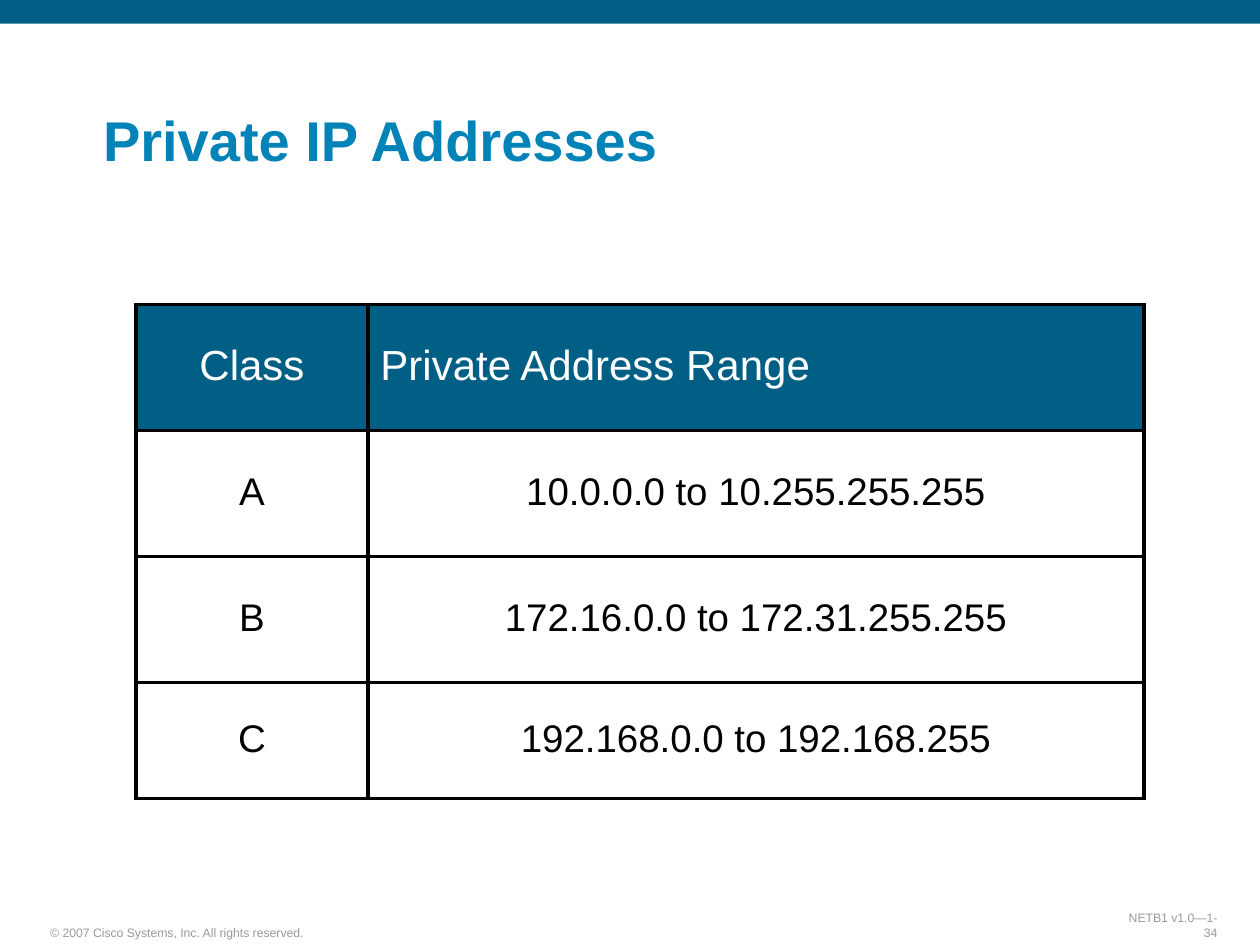
from lxml import etree
from pptx import Presentation, util as u
from pptx.dml import color
from pptx.enum import shapes, text
from pptx.oxml import ns

WIDTH, HEIGHT = u.Inches(10), u.Inches(7.5)
BLUE, TITLE_BLUE, GREY, BLACK, WHITE = "015F85", "0183B7", "999999", "000000", "FFFFFF"
LEFT, CENTER, RIGHT = text.PP_ALIGN.LEFT, text.PP_ALIGN.CENTER, text.PP_ALIGN.RIGHT
MIDDLE, BOTTOM = text.MSO_ANCHOR.MIDDLE, text.MSO_ANCHOR.BOTTOM
MARGINS = {"margin_left": u.Inches(0.1), "margin_right": u.Inches(0.1),
           "margin_top": u.Inches(0.05), "margin_bottom": u.Inches(0.05)}
ROWS = [("Class", "Private Address Range"),
        ("A", "10.0.0.0 to 10.255.255.255"),
        ("B", "172.16.0.0 to 172.31.255.255"),
        ("C", "192.168.0.0 to 192.168.255")]


def rgb(value):
    """Return the colour for a hex string."""
    return color.RGBColor.from_string(value)


def box(left, top, width, height):
    """Turn shares of the slide's size into lengths."""
    return [round(share * size) for share, size in
            zip((left, top, width, height), (WIDTH, HEIGHT, WIDTH, HEIGHT))]


def apply(target, values):
    """Set each attribute of the target from a dict."""
    for name, value in values.items():
        setattr(target, name, value)


def write(frame, words, size, hue, align=LEFT, spacing=1.0, bold=False):
    """Put one formatted paragraph in a text frame."""
    paragraph = frame.paragraphs[0]
    paragraph.text = words
    apply(paragraph, {"alignment": align, "line_spacing": spacing})
    font = paragraph.runs[0].font
    apply(font, {"name": "Arial", "size": u.Pt(size), "bold": bold})
    font.color.rgb = rgb(hue)


def add_band(slide, area):
    """Draw the plain band along the top."""
    shape = slide.shapes.add_shape(shapes.MSO_SHAPE.RECTANGLE, *area)
    shape.shadow.inherit = False
    shape.fill.solid()
    shape.fill.fore_color.rgb = rgb(BLUE)
    shape.line.fill.background()


def add_label(slide, area, words, wrap=True, **style):
    """Place a line of text at the bottom of the area."""
    frame = slide.shapes.add_textbox(*area).text_frame
    apply(frame, {**MARGINS, "word_wrap": wrap, "vertical_anchor": BOTTOM})
    write(frame, words, **style)


def add_borders(cell, width, hue):
    """Rule all four sides of a table cell."""
    properties = cell._tc.get_or_add_tcPr()
    for side in ("a:lnL", "a:lnR", "a:lnT", "a:lnB"):
        line = etree.SubElement(properties, ns.qn(side), w=str(u.Pt(width)))
        fill = etree.SubElement(line, ns.qn("a:solidFill"))
        etree.SubElement(fill, ns.qn("a:srgbClr"), val=hue)


def add_address_table(slide, area, column_shares, row_shares):
    """Fill the area with the ruled table of address ranges."""
    table = slide.shapes.add_table(len(ROWS), len(ROWS[0]), *area).table
    for column, share in zip(table.columns, column_shares):
        column.width = round(area[2] * share)
    for row, share in zip(table.rows, row_shares):
        row.height = round(area[3] * share)
    for row_index, row in enumerate(ROWS):
        header = row_index == 0
        for column_index, words in enumerate(row):
            cell = table.cell(row_index, column_index)
            apply(cell, {**MARGINS, "vertical_anchor": MIDDLE})
            add_borders(cell, 2.25, BLACK)
            cell.fill.solid()
            cell.fill.fore_color.rgb = rgb(BLUE if header else WHITE)
            write(cell.text_frame, words, size=24 if header else 22,
                  hue=WHITE if header else BLACK, spacing=0.95,
                  align=LEFT if header and column_index else CENTER)


def build_slide(presentation):
    """Lay out the band, footer, title and table."""
    slide = presentation.slides.add_slide(presentation.slide_layouts[6])
    footer = {"size": 7, "hue": GREY, "wrap": False}
    add_band(slide, box(0, 0, 1, 0.025))
    add_label(slide, box(0.03, 0.973, 0.221, 0.028),
              "© 2007 Cisco Systems, Inc. All rights reserved.", **footer)
    add_label(slide, box(0.877, 0.973, 0.099, 0.028),
              "NETB1 v1.0—1-34", align=RIGHT, **footer)
    add_label(slide, box(0.072, 0.067, 0.891, 0.123), "Private IP Addresses",
              size=32, hue=TITLE_BLUE, spacing=0.9, bold=True)
    add_address_table(slide, box(0.108, 0.322, 0.8, 0.523),
                      (0.23, 0.77), (0.255, 0.255, 0.255, 0.235))


def main():
    """Build and save the presentation."""
    presentation = Presentation()
    apply(presentation, {"slide_width": WIDTH, "slide_height": HEIGHT})
    build_slide(presentation)
    presentation.save("out.pptx")


if __name__ == "__main__":
    main()
